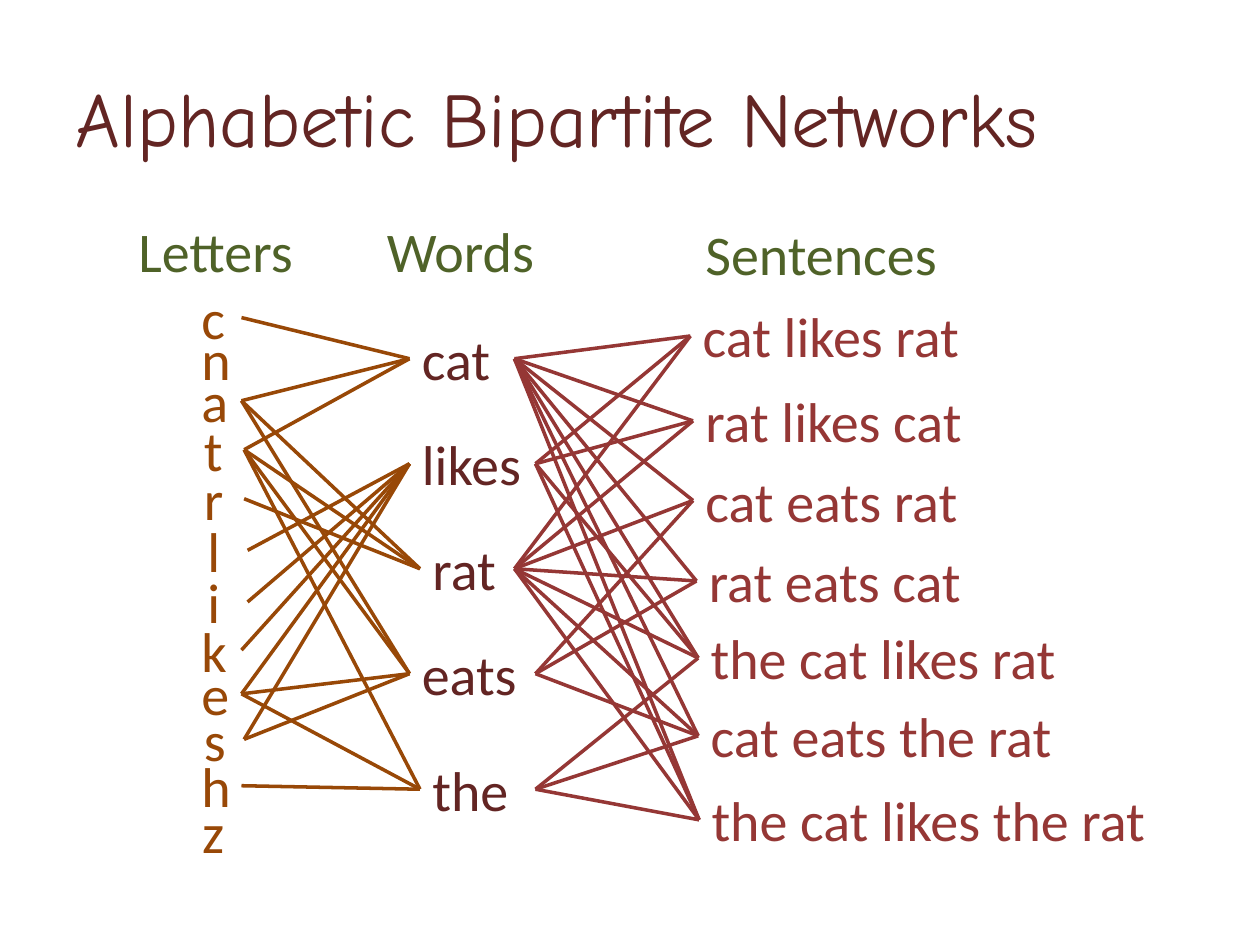
from lxml.etree import SubElement
from pptx import Presentation
from pptx.dml.color import RGBColor
from pptx.enum.shapes import MSO_CONNECTOR
from pptx.enum.text import MSO_ANCHOR, MSO_AUTO_SIZE, PP_ALIGN
from pptx.oxml.ns import qn
from pptx.util import Pt

MAROON = RGBColor(0x63, 0x25, 0x23)
BROWN = RGBColor(0x98, 0x48, 0x07)
RED = RGBColor(0x95, 0x37, 0x35)
GREEN = RGBColor(0x4F, 0x62, 0x28)
HIGH = 46

deck = Presentation()
deck.slide_width, deck.slide_height = Pt(720), Pt(540)
slide = deck.slides.add_slide(deck.slide_layouts[5])


def write(text, shape=None, left=0, top=0, width=0, height=HIGH,
          color=MAROON, font="Calibri", size=32):
    if shape is None:
        shape = slide.shapes.add_textbox(0, 0, 0, 0)
        shape.text_frame.auto_size = MSO_AUTO_SIZE.SHAPE_TO_FIT_TEXT
    shape.left, shape.top = Pt(left), Pt(top)
    shape.width, shape.height = Pt(width), Pt(height)
    frame = shape.text_frame
    frame.word_wrap = True
    para = frame.paragraphs[0]
    para.alignment = PP_ALIGN.LEFT
    run = para.add_run()
    run.text = text
    run.font.name = font
    run.font.size = Pt(size)
    run.font.color.rgb = color
    return shape


def link(start, end, color):
    line = slide.shapes.add_connector(
        MSO_CONNECTOR.STRAIGHT, start.left, start.top + start.height // 2,
        end.left + end.width, end.top + end.height // 2)
    line.line.color.rgb = color
    line.line.width = Pt(2)
    SubElement(line._element.spPr, qn("a:effectLst"))


title = write("Alphabetic Bipartite Networks", shape=slide.shapes.title,
              left=36, top=21.6, width=648, height=90,
              font="Comic Neue", size=44)
title.text_frame.vertical_anchor = MSO_ANCHOR.MIDDLE

for text, left, top, width in [("Letters", 72, 120, 108),
                               ("Words", 214, 120, 108),
                               ("Sentences", 396, 122, 150)]:
    write(text, left=left, top=top, width=width, color=GREEN)

words = {}
for text, left, top, width in [("cat", 234, 182, 60),
                               ("likes", 234, 242, 72),
                               ("rat", 240, 302, 54),
                               ("eats", 234, 362, 72),
                               ("the", 240, 428, 66)]:
    words[text] = write(text, left=left, top=top, width=width)

letters = {}
for text, left, top in [("c", 108, 158.5), ("n", 108, 182), ("a", 108, 206),
                        ("t", 109.5, 234), ("r", 109.5, 262),
                        ("l", 111.5, 291.5), ("i", 111.5, 321),
                        ("k", 108, 348.5), ("e", 108, 373.5),
                        ("s", 109.5, 399.5), ("h", 108, 426),
                        ("z", 108.5, 452)]:
    letters[text] = write(text, left=left, top=top, width=30, color=BROWN)

for word, box in words.items():
    for char in word:
        link(box, letters[char], BROWN)

for text, left, top, width in [("cat likes rat", 394.5, 169, 180),
                               ("rat likes cat", 396, 217.5, 180),
                               ("cat eats rat", 396, 263, 180),
                               ("rat eats cat", 398, 309, 180),
                               ("the cat likes rat", 399, 353, 216),
                               ("cat eats the rat", 399, 397.5, 228),
                               ("the cat likes the rat", 399.5, 445.5, 270)]:
    box = write(text, left=left, top=top, width=width, color=RED)
    for word in words:
        if word in text.split():
            link(box, words[word], RED)

deck.save("out.pptx")
